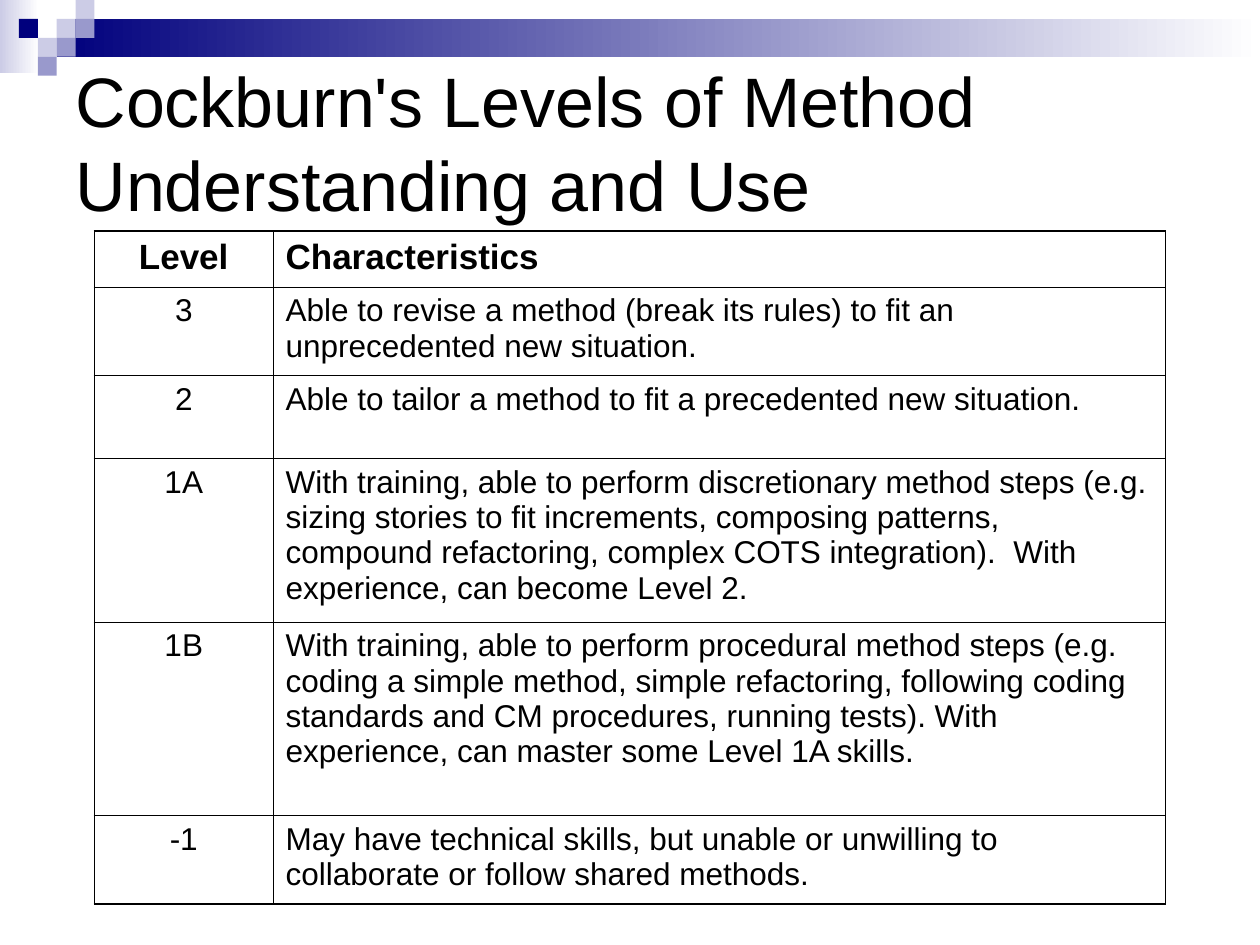
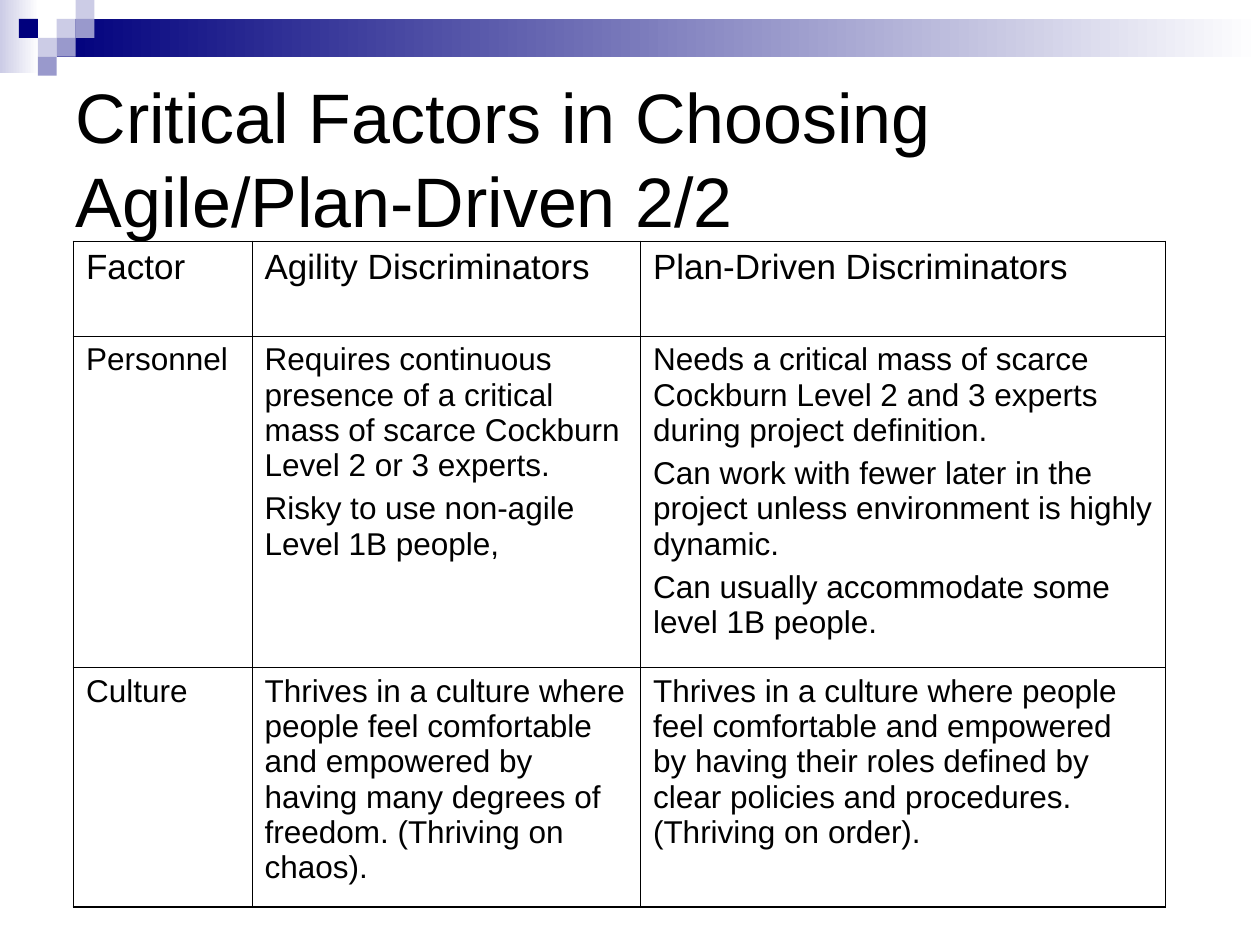
import pptx
import pptx.util
import pptx.dml.color
import pptx.enum.shapes
import pptx.enum.text
import pptx.oxml
import pptx.oxml.ns

Pt = pptx.util.Pt
RGBColor = pptx.dml.color.RGBColor
Align = pptx.enum.text.PP_ALIGN

BLACK = RGBColor(0, 0, 0)
WHITE = RGBColor(255, 255, 255)
NAVY = RGBColor(0x00, 0x00, 0x7D)
LILAC = RGBColor(0x99, 0x99, 0xCC)
PALE = RGBColor(0xCC, 0xCC, 0xE6)

FONT = "Arial"
UNIT = 10.8  # side of one mosaic square
MOSAIC = [(3, 1, PALE), (4, 0, PALE), (4, 1, LILAC), (2, 2, PALE),
          (1, 1, NAVY), (3, 2, LILAC), (2, 3, LILAC)]  # column, row, colour
THICK, THIN = 1.08, 0.45

LEVELS = [
    ["Level", "Characteristics"],
    ["3", "Able to revise a method (break its rules) to fit an unprecedented "
          "new situation."],
    ["2", "Able to tailor a method to fit a precedented new situation."],
    ["1A", "With training, able to perform discretionary method steps (e.g. "
           "sizing stories to fit increments, composing patterns, compound "
           "refactoring, complex COTS integration).  With experience, can "
           "become Level 2."],
    ["1B", "With training, able to perform procedural method steps (e.g. "
           "coding a simple method, simple refactoring, following coding "
           "standards and CM procedures, running tests). With experience, "
           "can master some Level 1A skills."],
    ["-1", "May have technical skills, but unable or unwilling to collaborate "
           "or follow shared methods."],
]

FACTORS = [
    ["Factor", "Agility Discriminators", "Plan-Driven Discriminators"],
    ["Personnel",
     "Requires continuous presence of a critical mass of scarce Cockburn "
     "Level 2 or 3 experts.\n"
     "Risky to use non-agile Level 1B people,",
     "Needs a critical mass of scarce Cockburn Level 2 and 3 experts during "
     "project definition.\n"
     "Can work with fewer later in the project unless environment is highly "
     "dynamic.\n"
     "Can usually accommodate some level 1B people."],
    ["Culture",
     "Thrives in a culture where people feel comfortable and empowered by "
     "having many degrees of freedom. (Thriving on chaos).",
     "Thrives in a culture where people feel comfortable and empowered by "
     "having their roles defined by clear policies and procedures.  "
     "(Thriving on order)."],
]


class Deck:
    def __init__(self):
        self.prs = pptx.Presentation()
        self.prs.slide_width, self.prs.slide_height = Pt(720), Pt(540)
        self.slide = None

    def page(self, title, height):
        """Start a slide with the shared mosaic band and a title."""
        self.slide = self.prs.slides.add_slide(self.prs.slide_layouts[5])
        self.fade(0, 0, 22.3, 41.8, PALE)
        self.fade(3 * UNIT, UNIT, 720 - 3 * UNIT, 2 * UNIT, NAVY)
        for col, row, color in MOSAIC:
            square = self.rect(col * UNIT, row * UNIT, UNIT, UNIT)
            square.fill.solid()
            square.fill.fore_color.rgb = color
        self.title(title, height)

    def rect(self, x, y, w, h):
        kind = pptx.enum.shapes.MSO_SHAPE.RECTANGLE
        shape = self.slide.shapes.add_shape(kind, Pt(x), Pt(y), Pt(w), Pt(h))
        shape.shadow.inherit = False
        shape.line.fill.background()
        return shape

    def fade(self, x, y, w, h, color):
        """Draw a band that runs from a colour to white, left to right."""
        fill = self.rect(x, y, w, h).fill
        fill.gradient()
        fill.gradient_angle = 0
        for stop, tint in zip(fill.gradient_stops, (color, WHITE)):
            stop.color.rgb = tint

    def title(self, text, height):
        box = self.slide.shapes.title
        box.left, box.top, box.width, box.height = Pt(36), Pt(36), Pt(648), Pt(height)
        frame = box.text_frame
        frame.text = text
        frame.word_wrap = True
        frame.auto_size = pptx.enum.text.MSO_AUTO_SIZE.NONE
        frame.vertical_anchor = pptx.enum.text.MSO_ANCHOR.MIDDLE
        self.style(frame.paragraphs[0], 40)

    def style(self, para, size, bold=False, align=Align.LEFT):
        para.alignment = align
        font = para.font
        font.name, font.size, font.bold = FONT, Pt(size), bold
        font.color.rgb = BLACK

    def table(self, x, y, cols, rows, data, bold=False, first=Align.LEFT):
        """Draw a ruled table; bold is for the head row, first aligns column one."""
        frame = self.slide.shapes.add_table(
            len(rows), len(cols), Pt(x), Pt(y), Pt(sum(cols)), Pt(sum(rows)))
        grid = frame.table
        grid.first_row = grid.horz_banding = False
        for col, width in zip(grid.columns, cols):
            col.width = Pt(width)
        for row, height in zip(grid.rows, rows):
            row.height = Pt(height)
        for r, line in enumerate(data):
            for c, text in enumerate(line):
                cell = grid.cell(r, c)
                outer = {"L": c == 0, "R": c == len(cols) - 1,
                         "T": r == 0, "B": r == len(rows) - 1}
                self.rule(cell, outer)
                cell.fill.background()
                cell.margin_left = cell.margin_right = Pt(7.2)
                cell.margin_top = cell.margin_bottom = Pt(3.6)
                cell.text = text
                for i, para in enumerate(cell.text_frame.paragraphs):
                    if i:
                        para.space_before = Pt(4.5)
                    self.style(para, 18 if r else 20, bold and r == 0,
                               Align.LEFT if c else first)

    def rule(self, cell, outer):
        """Give a cell its borders, thicker on the outer sides."""
        props = cell._tc.get_or_add_tcPr()
        for side, edge in outer.items():
            width = Pt(THICK if edge else THIN)
            props.append(pptx.oxml.parse_xml(
                f'<a:ln{side} {pptx.oxml.ns.nsdecls("a")} w="{width}">'
                f'<a:solidFill><a:srgbClr val="{BLACK}"/></a:solidFill>'
                f'</a:ln{side}>'))


def main():
    deck = Deck()
    deck.page("Cockburn's Levels of Method Understanding and Use", 90)
    deck.table(54, 132, [102, 510], [32, 50.5, 47.5, 93.5, 110.5, 50.5],
               LEVELS, bold=True, first=Align.CENTER)
    deck.page("Critical Factors in Choosing Agile/Plan-Driven 2/2", 108)
    deck.table(42, 138, [102, 222, 300], [54, 189.4, 136.8], FACTORS)
    deck.prs.save("out.pptx")


if __name__ == "__main__":
    main()
